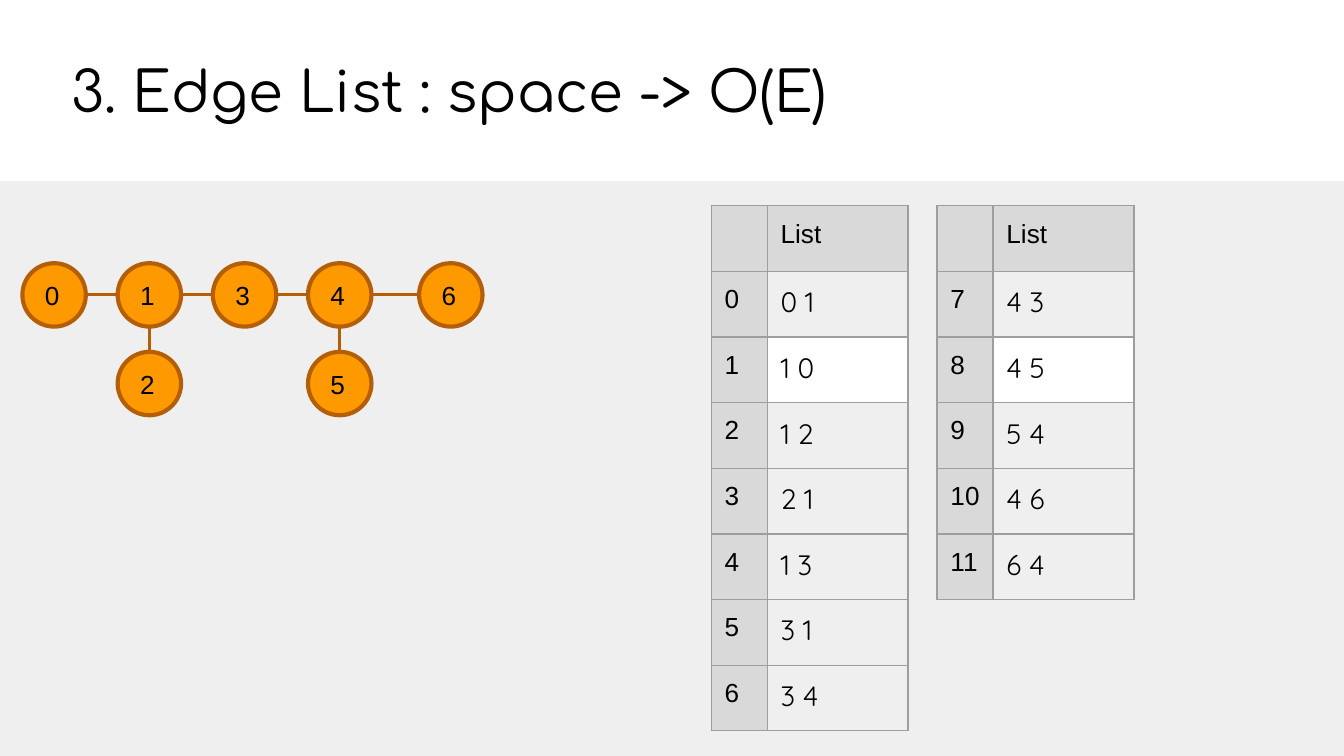
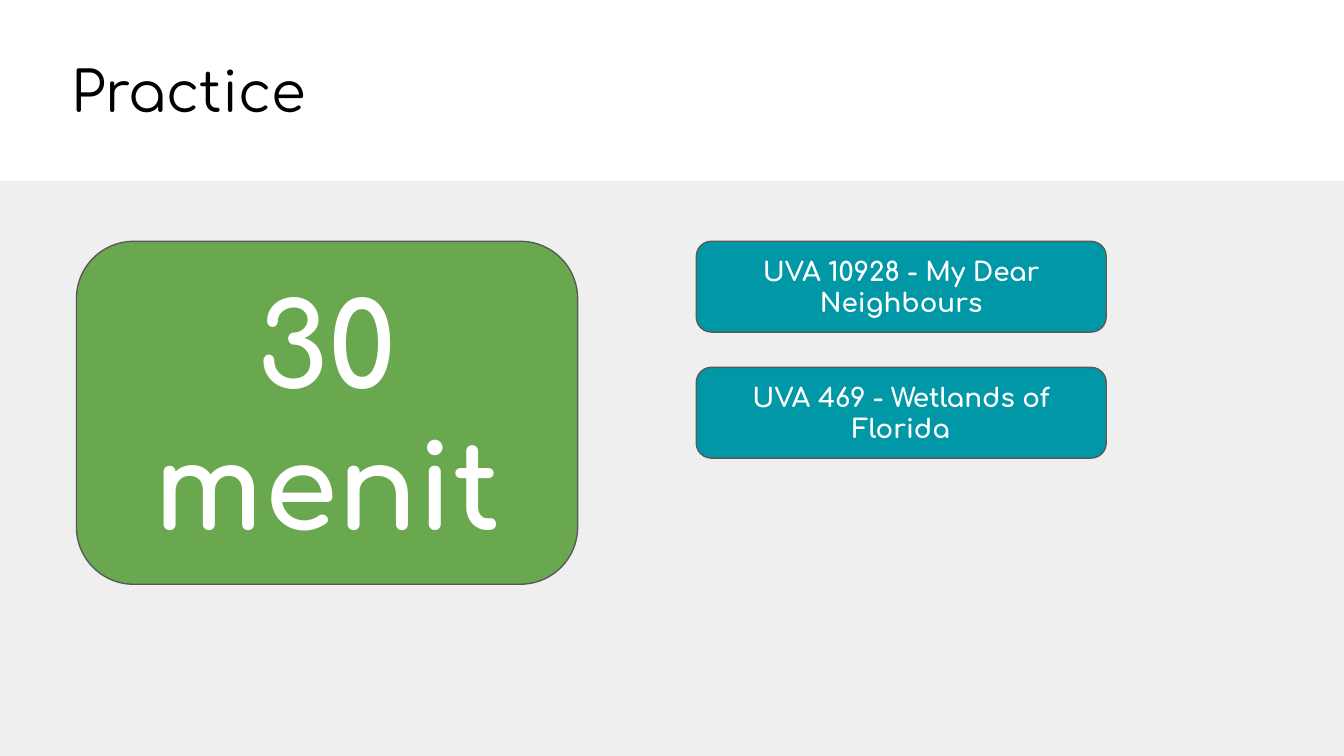
"""Builds two graph slides: an edge list with its tables, and a practice task."""
from lxml.etree import SubElement
from pptx import Presentation
from pptx.dml.color import RGBColor
from pptx.enum.shapes import MSO_CONNECTOR, MSO_SHAPE
from pptx.enum.text import MSO_ANCHOR, MSO_AUTO_SIZE, PP_ALIGN
from pptx.oxml.ns import qn
from pptx.util import Pt

COLORS = {
    "black": "000000", "white": "FFFFFF", "panel": "EFEFEF", "header": "D9D9D9",
    "grid": "9E9E9E", "node": "FF9900", "edge": "B45F06", "teal": "0097A7",
    "green": "6AA84F", "outline": "595959",
}
CELL = {
    "vertical_anchor": MSO_ANCHOR.TOP, "margin_left": Pt(7.2),
    "margin_right": Pt(7.2), "margin_top": Pt(7.2), "margin_bottom": Pt(7.2),
}
FRAME = {
    **CELL, "vertical_anchor": MSO_ANCHOR.MIDDLE,
    "auto_size": MSO_AUTO_SIZE.NONE, "word_wrap": True,
}
TITLE = {"name": "Comfortaa", "size": Pt(30), "bold": False}
LABEL = {"name": "Arial", "size": Pt(14)}
PAIR = {"name": "Quicksand", "size": Pt(15)}
TASK = {"name": "Comfortaa", "size": Pt(14), "bold": True}
TIMER = {**TASK, "size": Pt(63)}

BAND_TOP = 97
NODE_SIZE = 34
NODES = {
    "0": (12, 141), "1": (63, 141), "3": (114, 141), "4": (165, 141),
    "6": (224.5, 141), "2": (63, 188.5), "5": (165, 188.5),
}
EDGES = ["01", "12", "45", "13", "34", "46"]
EDGE_LIST = ["0 1", "1 0", "1 2", "2 1", "1 3", "3 1", "3 4", "4 3", "4 5", "5 4", "4 6", "6 4"]
FIRST_TABLE_ROWS = 7
TASKS = ["UVA 10928 - My Dear Neighbours", "UVA 469 - Wetlands of Florida"]


def color(name):
    return RGBColor.from_string(COLORS[name])


def apply(target, values):
    for name, value in values.items():
        setattr(target, name, value)


class Deck:
    def __init__(self):
        self.presentation = Presentation()
        apply(self.presentation, {"slide_width": Pt(720), "slide_height": Pt(405)})
        self.slide = None

    def add_text(self, frame, lines, font, ink="black", align=PP_ALIGN.LEFT):
        for index, line in enumerate(lines):
            paragraph = frame.add_paragraph() if index else frame.paragraphs[0]
            paragraph.alignment = align
            if line:
                run = paragraph.add_run()
                run.text = line
                apply(run.font, font)
                run.font.color.rgb = color(ink)
            else:
                paragraph._p.get_or_add_endParaRPr().set("sz", str(int(font["size"].pt * 100)))

    def add_slide(self, title):
        self.slide = self.presentation.slides.add_slide(self.presentation.slide_layouts[5])
        shape = self.slide.shapes.title
        apply(shape, {"left": Pt(31), "top": Pt(0), "width": Pt(671), "height": Pt(BAND_TOP)})
        apply(shape.text_frame, FRAME)
        self.add_text(shape.text_frame, [title], TITLE)
        self.add_box(MSO_SHAPE.RECTANGLE, (0, BAND_TOP, 720, 405 - BAND_TOP), "panel")

    def add_box(self, kind, place, fill, line=None, weight=0.75):
        shape = self.slide.shapes.add_shape(kind, *map(Pt, place))
        shape.shadow.inherit = False
        shape.fill.solid()
        shape.fill.fore_color.rgb = color(fill)
        apply(shape.text_frame, FRAME)
        if line:
            shape.line.color.rgb = color(line)
            shape.line.width = Pt(weight)
        else:
            shape.line.fill.background()
        return shape

    def add_node(self, name):
        place = (*NODES[name], NODE_SIZE, NODE_SIZE)
        shape = self.add_box(MSO_SHAPE.OVAL, place, "node", "edge", 2.25)
        self.add_text(shape.text_frame, [name], LABEL)

    def add_edge(self, start, end):
        (left, top), (right, bottom) = NODES[start], NODES[end]
        half = NODE_SIZE / 2
        if top == bottom:
            points = (left + NODE_SIZE, top + half, right, top + half)
        else:
            points = (left + half, top + NODE_SIZE, left + half, bottom)
        connector = self.slide.shapes.add_connector(MSO_CONNECTOR.STRAIGHT, *map(Pt, points))
        connector.line.color.rgb = color("edge")
        connector.line.width = Pt(1.5)
        SubElement(connector._element.spPr, qn("a:effectLst"))

    def add_card(self, place, lines, fill, font):
        shape = self.add_box(MSO_SHAPE.ROUNDED_RECTANGLE, place, fill, "outline")
        self.add_text(shape.text_frame, lines, font, "white", PP_ALIGN.CENTER)

    def add_cell(self, cell, text, font, fill):
        apply(cell, CELL)
        self.add_text(cell.text_frame, [text], font)
        properties = cell._tc.get_or_add_tcPr()
        for side in ("lnL", "lnR", "lnT", "lnB"):
            border = SubElement(properties, qn(f"a:{side}"), w=str(Pt(0.75)))
            solid = SubElement(border, qn("a:solidFill"))
            SubElement(solid, qn("a:srgbClr"), val=COLORS["grid"])
        cell.fill.solid()
        cell.fill.fore_color.rgb = color(fill)

    def add_edge_table(self, left, first, pairs):
        widths, row_height = (30, 75.5), 35.15
        count = len(pairs) + 1
        place = (left, 110.3, sum(widths), row_height * count)
        table = self.slide.shapes.add_table(count, 2, *map(Pt, place)).table
        apply(table, {"first_row": False, "horz_banding": False})
        for column, width in zip(table.columns, widths):
            column.width = Pt(width)
        for row in table.rows:
            row.height = Pt(row_height)
        self.add_cell(table.cell(0, 0), "", LABEL, "header")
        self.add_cell(table.cell(0, 1), "List", LABEL, "header")
        for row, pair in enumerate(pairs, 1):
            self.add_cell(table.cell(row, 0), str(first + row - 1), LABEL, "header")
            self.add_cell(table.cell(row, 1), pair, PAIR, "white" if row == 2 else "panel")


def main():
    deck = Deck()

    deck.add_slide("3. Edge List : space -> O(E)")
    deck.add_edge_table(381, 0, EDGE_LIST[:FIRST_TABLE_ROWS])
    for name in NODES:
        deck.add_node(name)
    for start, end in EDGES:
        deck.add_edge(start, end)
    deck.add_edge_table(502, FIRST_TABLE_ROWS, EDGE_LIST[FIRST_TABLE_ROWS:])

    deck.add_slide("Practice")
    deck.add_card((41, 129.3, 268.5, 183.7), ["30", "menit"], "green", TIMER)
    for index, task in enumerate(TASKS):
        deck.add_card((373, 129.3 + 67.5 * index, 219.6, 48.6), [task], "teal", TASK)

    deck.presentation.save("out.pptx")


if __name__ == "__main__":
    main()
